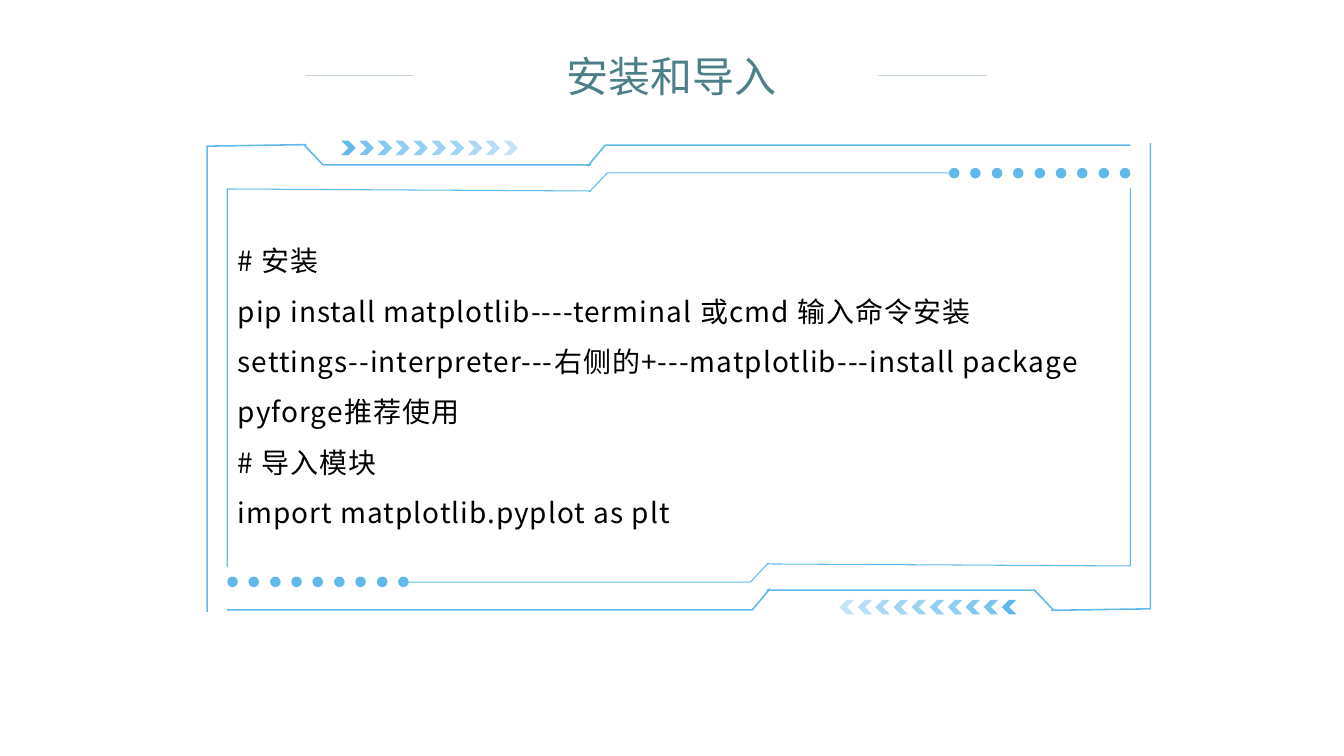
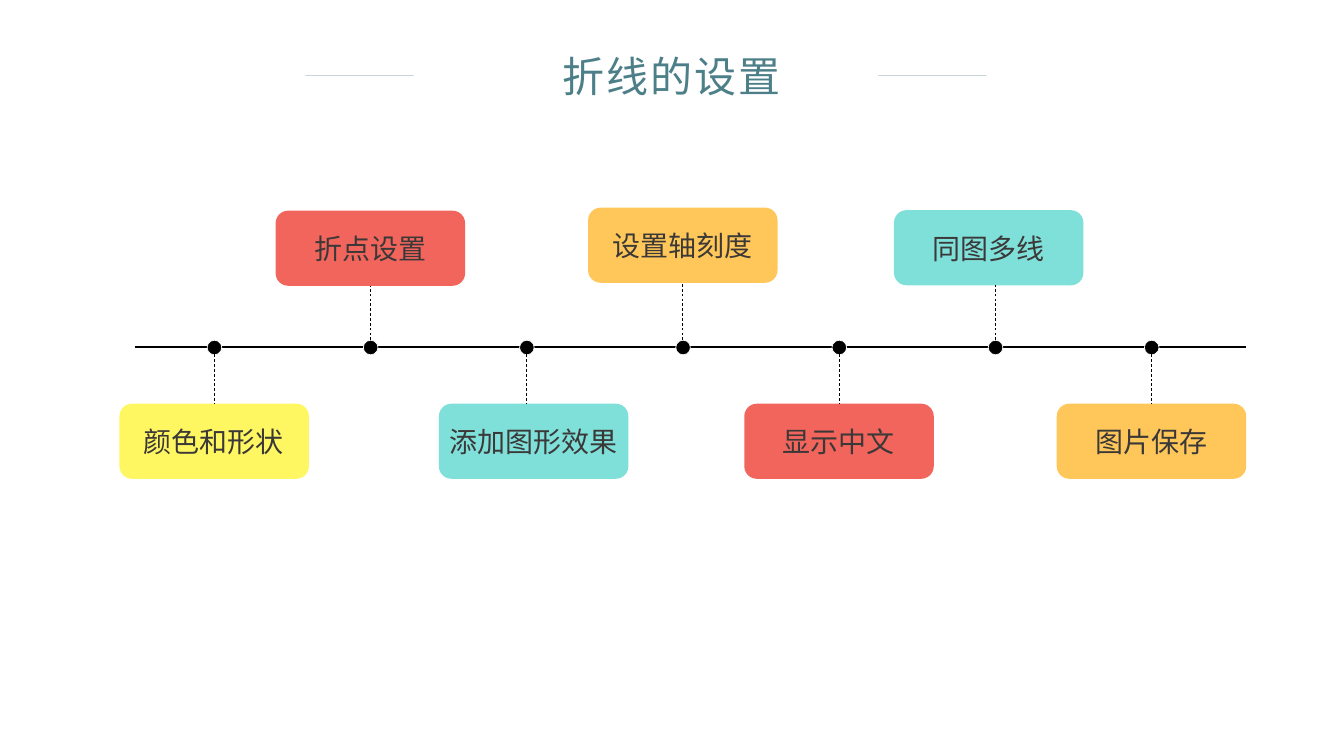
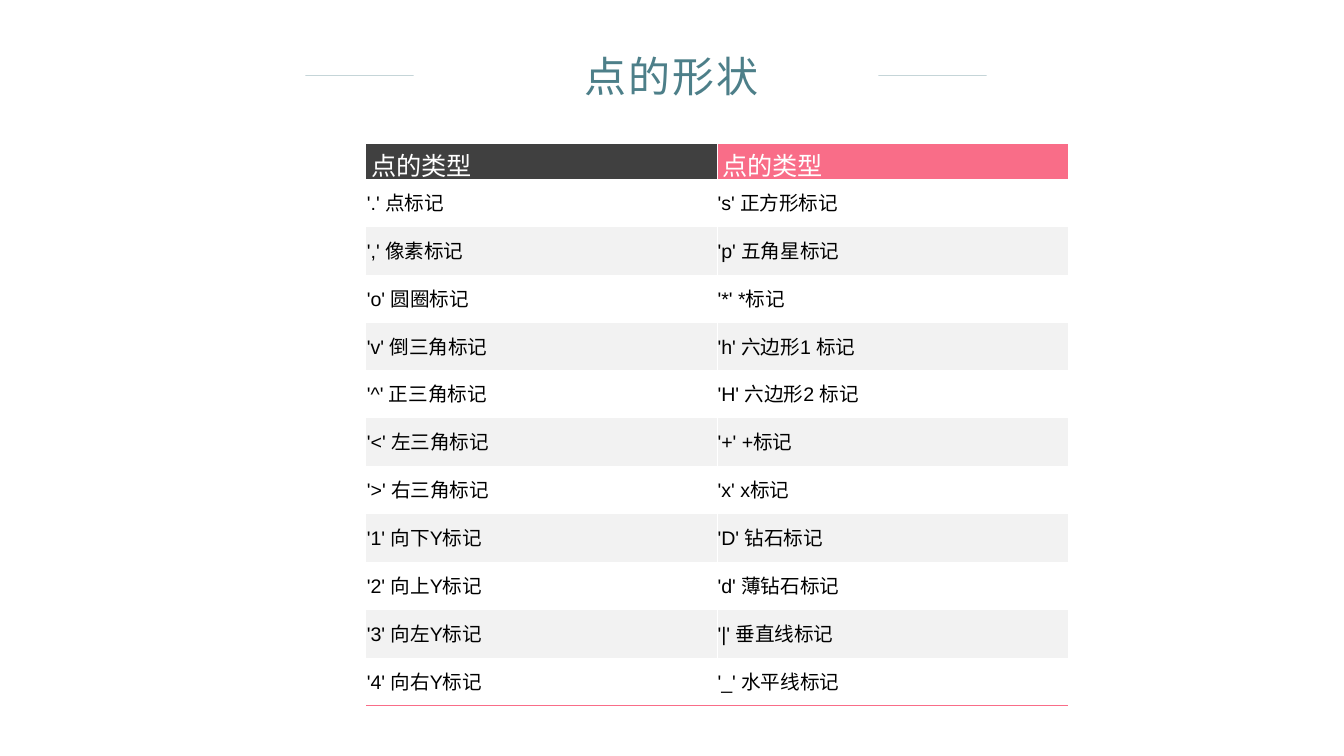
import lxml.etree
import pptx
import pptx.dml.color
import pptx.enum.dml
import pptx.enum.shapes
import pptx.enum.text
import pptx.oxml.ns
import pptx.util

SCALE = 9144
COLORS = {
    "teal": "4D7F89",
    "rust": "A2633C",
    "sky": "61B9EB",
    "black": "000000",
    "white": "FFFFFF",
    "ink": "3B3838",
    "yellow": "FFF762",
    "aqua": "7FDFD9",
    "red": "F2655C",
    "amber": "FFC759",
    "charcoal": "404040",
    "pink": "F96D88",
    "stripe": "F2F2F2",
}
EAST_ASIAN_FONT = "Noto Sans CJK SC"
PLAIN_TABLE = "{2D5ABB26-0587-4C30-8999-92F81FD0307C}"
SHAPES = pptx.enum.shapes.MSO_SHAPE
MIDDLE = pptx.enum.text.MSO_ANCHOR.MIDDLE
CENTER = pptx.enum.text.PP_ALIGN.CENTER

FRAME_SPAN = (2694, 1498)
OUTER_LINES = [
    [(608, 287), (411, 290), (411, 1214)],
    [(603, 287), (641, 327), (1173, 327)],
    [(1166, 330), (1201, 288), (2243, 288)],
]
INNER_LINES = [
    [(451, 1125), (451, 375), (1172, 379)],
    [(1169, 381), (1205, 343), (1890, 343)],
]
CHEVRON_OPACITIES = [100, 84, 77, 69, 66, 62, 59, 53, 45, 36]
COMMANDS = [
    "# 安装",
    "pip install matplotlib----terminal 或cmd 输入命令安装",
    "settings--interpreter---右侧的+---matplotlib---install package pyforge推荐使用",
    "# 导入模块",
    "import matplotlib.pyplot as plt",
]
TOPICS = [
    ("颜色和形状", "yellow", 801, 0),
    ("折点设置", "red", 418, 0),
    ("添加图形效果", "aqua", 801, 14),
    ("设置轴刻度", "amber", 412, 0),
    ("显示中文", "red", 801, 0),
    ("同图多线", "aqua", 417, -13),
    ("图片保存", "amber", 801, 0),
]
MARKERS = [
    ("'.' 点标记", "'s' 正方形标记"),
    ("',' 像素标记", "'p' 五角星标记"),
    ("'o' 圆圈标记", "'*' *标记"),
    ("'v' 倒三角标记", "'h' 六边形1 标记"),
    ("'^' 正三角标记", "'H' 六边形2 标记"),
    ("'<' 左三角标记", "'+' +标记"),
    ("'>' 右三角标记", "'x' x标记"),
    ("'1' 向下Y标记", "'D' 钻石标记"),
    ("'2' 向上Y标记", "'d' 薄钻石标记"),
    ("'3' 向左Y标记", "'|' 垂直线标记"),
    ("'4' 向右Y标记", "'_' 水平线标记"),
]


def px(*lengths):
    return [pptx.util.Emu(length * SCALE) for length in lengths]


def rgb(color):
    return pptx.dml.color.RGBColor.from_string(COLORS[color])


def add_xml(parent, tag, **attributes):
    return lxml.etree.SubElement(parent, pptx.oxml.ns.qn(tag), attributes)


def set_format(target, values):
    for attribute, value in values.items():
        setattr(target, attribute, value)


def set_opacity(shape, percent):
    if percent < 100:
        for color in list(shape._element.spPr.iter(pptx.oxml.ns.qn("a:srgbClr"))):
            add_xml(color, "a:alpha", val=str(percent * 1000))


def set_line(shape, color, width):
    shape.line.color.rgb = rgb(color)
    shape.line.width = pptx.util.Pt(width)


def write(frame, lines, font, size, color, spacing=0, layout=None):
    for number, line in enumerate(lines):
        paragraph = frame.paragraphs[0] if number == 0 else frame.add_paragraph()
        set_format(paragraph, layout or {})
        run = paragraph.add_run()
        run.text = line
        set_format(run.font, {"name": font, "size": pptx.util.Pt(size)})
        if isinstance(color, tuple):
            run.font.fill.gradient()
            run.font.fill.gradient_angle = 0
            for stop, name in zip(run.font.fill.gradient_stops, color):
                stop.color.rgb = rgb(name)
        else:
            run.font.color.rgb = rgb(color)
        properties = run.font._element
        if spacing:
            properties.set("spc", str(spacing))
        latin = properties.find(pptx.oxml.ns.qn("a:latin"))
        east_asian = add_xml(properties, "a:ea", typeface=EAST_ASIAN_FONT)
        latin.addnext(east_asian)


def add_text(shapes, box, lines, font, size, color, spacing=0, layout=None, frame_format=None):
    frame = shapes.add_textbox(*px(*box)).text_frame
    set_format(frame, {"word_wrap": True, **(frame_format or {})})
    write(frame, lines, font, size, color, spacing, layout)


def add_figure(shapes, kind, box, color, opacity=100, rotation=0):
    figure = shapes.add_shape(kind, *px(*box))
    figure.shadow.inherit = False
    figure.fill.solid()
    figure.fill.fore_color.rgb = rgb(color)
    figure.line.fill.background()
    figure.rotation = rotation
    set_opacity(figure, opacity)
    return figure


def add_line(shapes, start, end, color, width, opacity=100, dash=None):
    line = shapes.add_connector(pptx.enum.shapes.MSO_CONNECTOR.STRAIGHT, *px(*start, *end))
    set_line(line, color, width)
    line.line.dash_style = dash
    add_xml(line._element.spPr, "a:effectLst")
    set_opacity(line, opacity)
    return line


def add_outline(shapes, points, width):
    builder = shapes.build_freeform(*points[0], scale=SCALE)
    builder.add_line_segments(points[1:], close=False)
    outline = builder.convert_to_shape()
    outline.shadow.inherit = False
    outline.fill.background()
    set_line(outline, "sky", width)


def add_titled_slide(deck, title, font="Calibri", spacing=300):
    slide = deck.slides.add_slide(deck.slide_layouts[6])
    heading = slide.shapes.add_group_shape().shapes
    for left in (606, 1743):
        add_line(heading, (left, 150), (left + 215, 150), "teal", 1, opacity=50)
    add_text(heading, (878, 95, 908, 111), [title], font, 60, ("teal", "rust"), spacing,
             {"alignment": CENTER},
             {"auto_size": pptx.enum.text.MSO_AUTO_SIZE.SHAPE_TO_FIT_TEXT})
    return slide


def add_frame_half(shapes, turned):
    def turn_box(left, top, side):
        if turned:
            left, top = FRAME_SPAN[0] - left - side, FRAME_SPAN[1] - top - side
        return left, top, side, side

    rotation = 180 if turned else 0
    for lines, width in ((OUTER_LINES, 2.25), (INNER_LINES, 1.5)):
        for points in lines:
            if turned:
                points = [(FRAME_SPAN[0] - x, FRAME_SPAN[1] - y) for x, y in points]
            add_outline(shapes, points, width)
    for number, opacity in enumerate(CHEVRON_OPACITIES):
        box = turn_box(677 + round(number * 35.8), 279, 29)
        add_figure(shapes, SHAPES.CHEVRON, box, "sky", opacity, rotation)
    for number in range(9):
        box = turn_box(1883 + round(number * 42.4), 333, 21)
        add_figure(shapes, SHAPES.OVAL, box, "sky")


def build_install_slide(deck):
    slide = add_titled_slide(deck, "安装和导入", "Noto Sans CJK JP", 0)
    panel = slide.shapes.add_group_shape().shapes
    for turned in (False, True):
        add_frame_half(panel, turned)
    add_text(panel, (462, 393, 1775, 714), COMMANDS, "Noto Sans CJK SC", 40, "black", 150,
             {"line_spacing": 1.5}, {"vertical_anchor": MIDDLE})


def add_topic(shapes, center, label, color, top, offset):
    axis, radius, width, height = 689, 14, 376, 149
    node = add_figure(shapes, SHAPES.OVAL, (center - radius, axis - radius, 29, 29), "black")
    set_line(node, "white", 1)
    middle = center + offset
    pill = add_figure(shapes, SHAPES.ROUNDED_RECTANGLE,
                      (middle - width // 2, top, width, height), color)
    below = top > axis
    start = axis + radius if below else axis - radius
    end = top if below else top + height
    stem = add_line(shapes, (center, start), (center, end), "black", 1,
                    dash=pptx.enum.dml.MSO_LINE.DASH)
    if offset == 0:
        stem.end_connect(pill, 0 if below else 2)
    add_text(shapes, (middle - 202, top + 29, 403, 92), [label], "Arial", 40, "ink",
             layout={"alignment": CENTER}, frame_format={"vertical_anchor": MIDDLE})


def build_line_settings_slide(deck):
    slide = add_titled_slide(deck, "折线的设置")
    add_line(slide.shapes, (267, 689), (2472, 689), "black", 2.25)
    for number, topic in enumerate(TOPICS):
        add_topic(slide.shapes, 425 + number * 310, *topic)


def set_cell(cell, fill, borders):
    cell.fill.solid()
    cell.fill.fore_color.rgb = rgb(fill)
    properties = cell._tc.get_or_add_tcPr()
    for position, (side, color) in enumerate(borders):
        border = add_xml(properties, "a:ln" + side, w=str(pptx.util.Pt(1.5)))
        add_xml(add_xml(border, "a:solidFill"), "a:srgbClr", val=COLORS[color])
        properties.insert(position, border)


def build_markers_slide(deck):
    slide = add_titled_slide(deck, "点的形状")
    table = slide.shapes.add_table(len(MARKERS) + 1, 2, *px(727, 285, 1392, 1110)).table
    set_format(table, {"first_row": False, "horz_banding": False})
    table._tbl.tblPr[0].text = PLAIN_TABLE
    for column in table.columns:
        column.width = px(696)[0]
    for number, row in enumerate(table.rows):
        row.height = px(95 if number else 65)[0]
    tight = dict(zip(("margin_left", "margin_right", "margin_top", "margin_bottom"),
                     px(1, 1, 1, 5)), vertical_anchor=MIDDLE)
    dividers = ("R", "L")
    for column, fill in enumerate(("charcoal", "pink")):
        heading = table.cell(0, column)
        write(heading.text_frame, ["点的类型"], "Calibri", 36, "white")
        set_cell(heading, fill, [(dividers[column], "white")])
    for number, markers in enumerate(MARKERS, 1):
        for column, marker in enumerate(markers):
            cell = table.cell(number, column)
            set_format(cell, tight)
            write(cell.text_frame, [marker], "Arial", 28, "black")
            borders = [(dividers[column], "white")]
            if number == len(MARKERS):
                borders.append(("B", "pink"))
            set_cell(cell, "white" if number % 2 else "stripe", borders)


def main():
    deck = pptx.Presentation()
    deck.slide_width, deck.slide_height = px(2667, 1500)
    build_install_slide(deck)
    build_line_settings_slide(deck)
    build_markers_slide(deck)
    deck.save("out.pptx")


if __name__ == "__main__":
    main()
